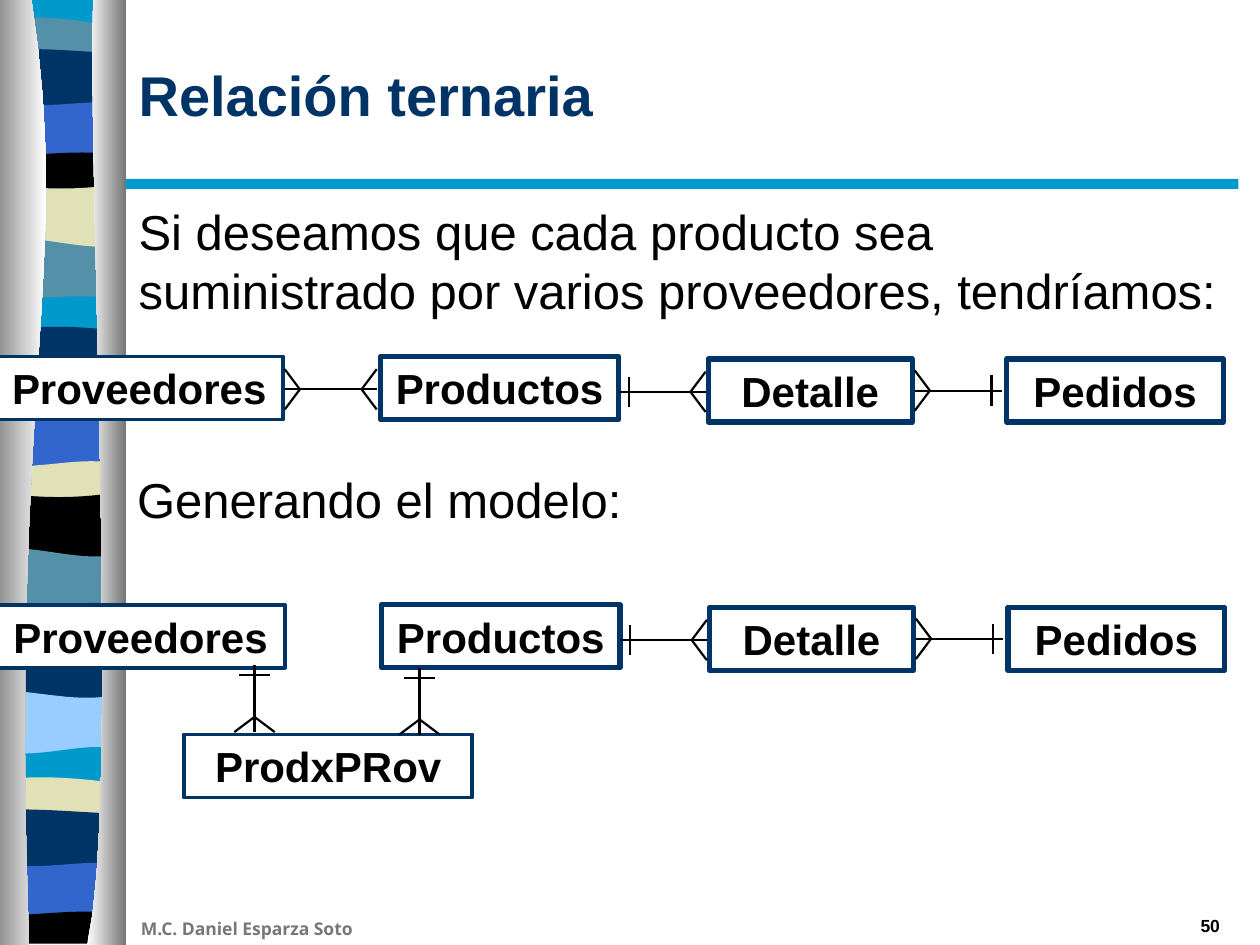
from lxml.etree import SubElement
from pptx import Presentation
from pptx.dml.color import RGBColor
from pptx.enum.shapes import MSO_CONNECTOR, MSO_SHAPE
from pptx.enum.text import MSO_ANCHOR, PP_ALIGN
from pptx.oxml.ns import qn
from pptx.util import Inches, Pt

COLORS = {
    "navy": "003366", "cyan": "0099CC", "teal": "5490A8", "sand": "E1E1B7",
    "blue": "3366CC", "sky": "99CCFF", "black": "000000", "white": "FFFFFF",
    "gray": "767676", "footer": "777777",
}
BANDS = [
    ("cyan", (0, 0, 0, 0)),
    ("teal", (0.16, 0.1, 0.17, 0.21)),
    ("navy", (0.41, 0.36, 0.42, 0.42)),
    ("blue", (0.78, 0.9, 0.78, 0.82)),
    ("black", (1.23, 1.25, 1.17, 1.24)),
    ("sand", (1.46, 1.5, 1.52, 1.45)),
    ("teal", (1.9, 1.85, 2, 1.95)),
    ("cyan", (2.35, 2.4, 2.31, 2.38)),
    ("navy", (2.6, 2.6, 2.57, 2.64)),
    ("blue", (2.95, 2.95, 2.95, 2.95)),
    ("sand", (3.68, 3.75, 3.6, 3.69)),
    ("black", (3.9, 3.96, 3.96, 3.9)),
    ("teal", (4.36, 4.31, 4.48, 4.39)),
    ("navy", (4.8, 4.85, 4.75, 4.8)),
    ("sky", (5.48, 5.47, 5.6, 5.5)),
    ("cyan", (5.95, 6.05, 5.87, 5.95)),
    ("sand", (6.2, 6.14, 6.18, 6.22)),
    ("navy", (6.43, 6.41, 6.45, 6.46)),
    ("blue", (6.84, 6.93, 6.81, 6.86)),
    ("black", (7.27, 7.27, 7.2, 7.26)),
]


def color(name):
    """Return the palette colour with this name."""
    return RGBColor.from_string(COLORS[name])


def curve(xs, ys, steps=16):
    """Sample a cubic curve from its four control points."""
    points = []
    for step in range(steps + 1):
        t = step / steps
        weights = ((1 - t) ** 3, 3 * t * (1 - t) ** 2, 3 * t * t * (1 - t), t ** 3)
        points.append(tuple(sum(w * v for w, v in zip(weights, values)) for values in (xs, ys)))
    return points


def write(frame, text, size=24, name="black", bold=True, align=PP_ALIGN.LEFT,
          font="Arial", anchor=MSO_ANCHOR.TOP, wrap=True):
    """Put one formatted paragraph into a text frame."""
    frame.word_wrap = wrap
    frame.vertical_anchor = anchor
    paragraph = frame.paragraphs[0]
    paragraph.alignment = align
    paragraph.space_before = Pt(0)
    run = paragraph.add_run()
    run.text = text
    run.font.size = Pt(size)
    run.font.bold = bold
    run.font.name = font
    run.font.color.rgb = color(name)
    return paragraph


def place(shape, left, top, width, height):
    """Move and size a shape in inches."""
    shape.left, shape.top = Inches(left), Inches(top)
    shape.width, shape.height = Inches(width), Inches(height)
    return shape


def add_label(slide, box, text, **style):
    """Add a text box."""
    label = slide.shapes.add_textbox(*map(Inches, box))
    write(label.text_frame, text, **style)


def add_outline(slide, points):
    """Add a closed shape without a line."""
    scaled = [(Inches(x), Inches(y)) for x, y in points]
    builder = slide.shapes.build_freeform(*scaled[0])
    builder.add_line_segments(scaled[1:], close=True)
    shape = builder.convert_to_shape()
    shape.shadow.inherit = False
    shape.line.fill.background()
    return shape


def add_column(slide, edge, side, names):
    """Add one shaded column between a curved edge and a straight side."""
    shape = add_outline(slide, edge + [(side, 7.5), (side, 0)])
    shape.fill.gradient()
    shape.fill.gradient_angle = 0
    for stop, position, name in zip(shape.fill.gradient_stops, (0, 1), names):
        stop.position = position
        stop.color.rgb = color(name)


def add_ribbon(slide, left, right):
    """Draw the striped ribbon and its two columns."""
    lower_edges = [min(7.5, max(edge) + 0.1) for _, edge in BANDS[1:]] + [7.49]
    thirds = [left + (right - left) * i / 3 for i in range(4)]
    for (name, edge), bottom in zip(BANDS, lower_edges):
        shape = add_outline(slide, curve(thirds, edge) + [(right, bottom), (left, bottom)])
        shape.fill.solid()
        shape.fill.fore_color.rgb = color(name)
    add_column(slide, curve((0.25, 0.58, 0.07, 0.23), (0, 2.16, 2.96, 7.5)),
               -0.1, ("gray", "white"))
    add_column(slide, curve((0.74, 0.69, 0.96, 0.69), (0, 1.25, 6.46, 7.5)),
               1, ("white", "gray"))


def add_entity(slide, text, left, top, width, line=3, filled=False):
    """Add one entity box."""
    shape = slide.shapes.add_shape(
        MSO_SHAPE.RECTANGLE, *map(Inches, (left, top, width, 0.5)))
    shape.shadow.inherit = False
    if filled:
        shape.fill.solid()
        shape.fill.fore_color.rgb = color("white")
    else:
        shape.fill.background()
    shape.line.color.rgb = color("navy")
    shape.line.width = Pt(line)
    write(shape.text_frame, text, align=PP_ALIGN.CENTER, anchor=MSO_ANCHOR.MIDDLE, wrap=False)


def add_line(slide, start, end):
    """Add one thin black line."""
    line = slide.shapes.add_connector(MSO_CONNECTOR.STRAIGHT, *map(Inches, start + end))
    line.line.color.rgb = color("black")
    line.line.width = Pt(1.25)
    SubElement(line._element.spPr, qn("a:effectLst"))


def add_relation(slide, start, end, marks):
    """Join two points, with a 'many' or 'one' mark at each end."""
    add_line(slide, start, end)
    length = abs(end[0] - start[0]) + abs(end[1] - start[1])
    dx, dy = (end[0] - start[0]) / length, (end[1] - start[1]) / length
    for (x, y), sign, mark in zip((start, end), (1, -1), marks):
        depth = 0.12 if mark == "many" else 0.08
        inner = (x + sign * dx * depth, y + sign * dy * depth)
        if mark == "many":
            for spread in (-0.16, 0.16):
                add_line(slide, inner, (x - dy * spread, y + dx * spread))
        else:
            add_line(slide, (inner[0] - dy * 0.12, inner[1] + dx * 0.12),
                     (inner[0] + dy * 0.12, inner[1] - dx * 0.12))


def add_entity_row(slide, left, top):
    """Draw the four entities and the two relations that both diagrams share."""
    add_entity(slide, "Productos", left + 3.06, top, 1.89)
    add_entity(slide, "Proveedores", left, top, 2.29, line=2.25, filled=True)
    add_entity(slide, "Pedidos", left + 8.03, top + 0.02, 1.72)
    add_entity(slide, "Detalle", left + 5.66, top + 0.02, 1.62)
    add_relation(slide, (left + 4.95, top + 0.28), (left + 5.64, top + 0.28), ("one", "many"))
    add_relation(slide, (left + 7.3, top + 0.27), (left + 7.99, top + 0.27), ("many", "one"))


def add_model(slide, left, top):
    """Draw the model with its linking entity."""
    add_entity_row(slide, left, top)
    add_entity(slide, "ProdxPRov", left + 1.49, top + 1.03, 2.29, line=2.25, filled=True)
    for x, y in ((2.05, 0.48), (3.36, 0.5)):
        add_relation(slide, (left + x, top + y), (left + x, top + y + 0.53), ("one", "many"))


def add_header(slide, left, width):
    """Fill the title and body placeholders and add the rule."""
    title = place(slide.shapes.title, left, 0.12, width, 1.25)
    write(title.text_frame, "Relación ternaria", size=32, name="navy", anchor=MSO_ANCHOR.MIDDLE)
    body = place(slide.placeholders[1], left, 1.55, width, 1.42)
    paragraph = write(
        body.text_frame,
        "Si deseamos que cada producto sea suministrado por varios proveedores, tendríamos:",
        size=28, bold=False)
    properties = paragraph._p.get_or_add_pPr()
    properties.set("marL", "0")
    properties.set("indent", "0")
    SubElement(properties, qn("a:buNone"))
    rule = slide.shapes.add_shape(MSO_SHAPE.RECTANGLE, *map(Inches, (left, 1.42, 8.83, 0.08)))
    rule.shadow.inherit = False
    rule.fill.solid()
    rule.fill.fore_color.rgb = color("cyan")
    rule.line.fill.background()


def build():
    """Build and save the slide."""
    presentation = Presentation()
    presentation.slide_width, presentation.slide_height = Inches(10), Inches(7.5)
    slide = presentation.slides.add_slide(presentation.slide_layouts[1])
    add_ribbon(slide, -0.05, 0.98)
    add_header(slide, 1, 8.78)
    add_label(slide, (1.02, 7.24, 2.83, 0.27), "M.C. Daniel Esparza Soto",
              size=10, name="footer", font="Open Sans")
    add_label(slide, (7.7, 7.21, 2.08, 0.26), "50", size=10, align=PP_ALIGN.RIGHT)
    add_entity_row(slide, -0.04, 2.83)
    add_relation(slide, (2.26, 3.09), (2.99, 3.09), ("many", "many"))
    add_model(slide, -0.03, 4.8)
    add_label(slide, (0.99, 3.68, 8.78, 0.76), "Generando el modelo:", size=28, bold=False)
    presentation.save("out.pptx")


build()
